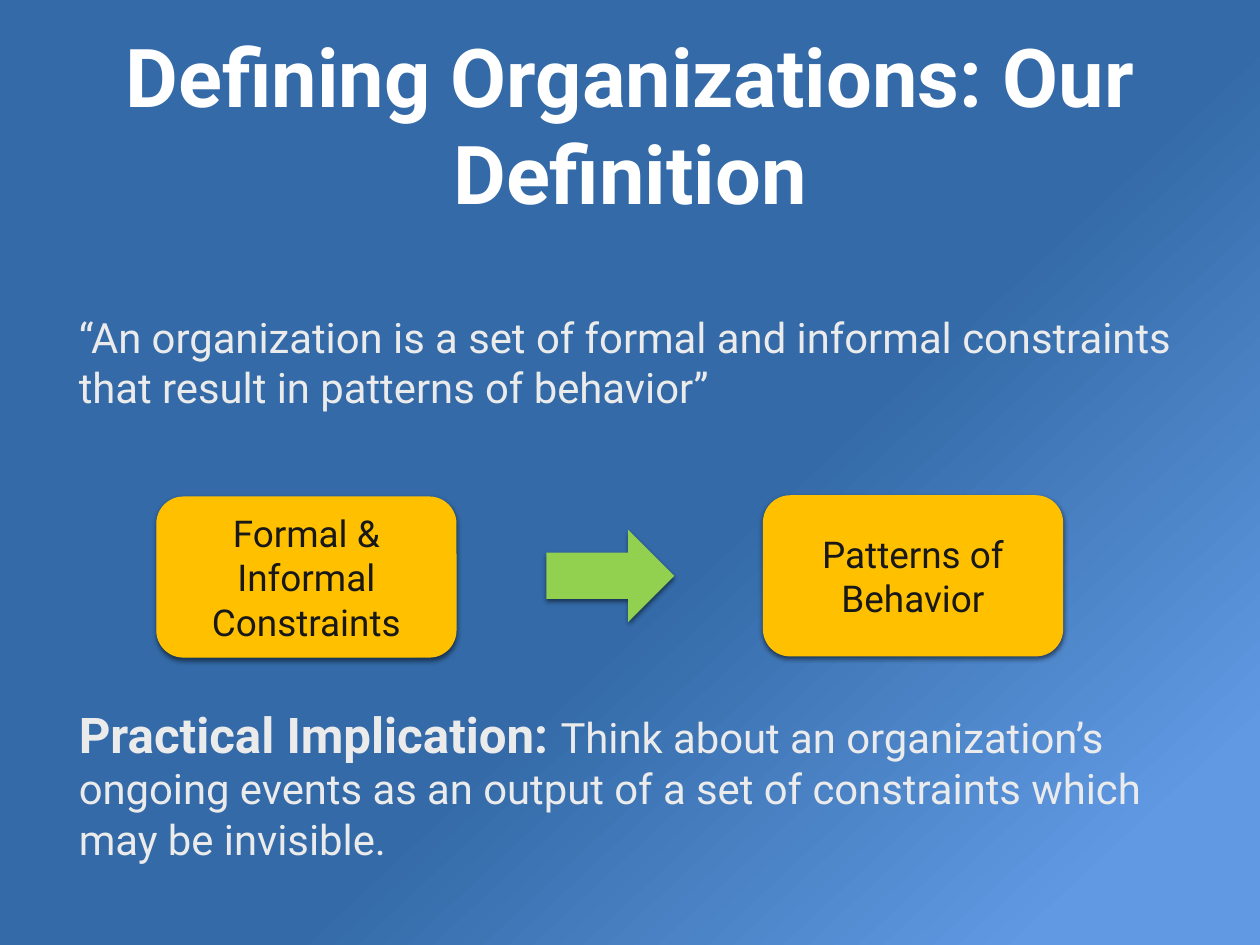
import pptx
import pptx.util
import pptx.dml.color
import pptx.enum.shapes
import pptx.enum.text
import pptx.oxml
import pptx.oxml.ns
from pptx.util import Pt

RGBColor = pptx.dml.color.RGBColor
MSO_SHAPE = pptx.enum.shapes.MSO_SHAPE
PP_ALIGN = pptx.enum.text.PP_ALIGN

DEEP_BLUE = RGBColor(0x33, 0x6A, 0xA7)
SKY_BLUE = RGBColor(0x61, 0x9A, 0xE3)
WHITE = RGBColor(0xFF, 0xFF, 0xFF)
PALE_GREY = RGBColor(0xEB, 0xEB, 0xEB)
AMBER = RGBColor(0xFF, 0xC0, 0x00)
GREEN = RGBColor(0x92, 0xD0, 0x50)
INK = RGBColor(0x18, 0x18, 0x18)

SHADOW = (
    f'<a:outerShdw {pptx.oxml.ns.nsdecls("a")} blurRad="{Pt(4)}" dist="{Pt(2)}"'
    ' dir="5400000" rotWithShape="0"><a:srgbClr val="000000">'
    '<a:alpha val="50000"/></a:srgbClr></a:outerShdw>'
)


def format_text(shape, size, color, align, bold=None):
    frame = shape.text_frame
    frame.word_wrap = True
    frame.auto_size = pptx.enum.text.MSO_AUTO_SIZE.NONE
    frame.vertical_anchor = pptx.enum.text.MSO_ANCHOR.MIDDLE
    frame.margin_left = frame.margin_right = Pt(4)
    frame.margin_top = frame.margin_bottom = Pt(4)
    paragraph = frame.paragraphs[0]
    paragraph.alignment = align
    paragraph.font.name = "Roboto"
    paragraph.font.size = Pt(size)
    paragraph.font.color.rgb = color
    paragraph.font.bold = bold
    return paragraph


def add_block(kind, left, top, width, height, color):
    block = slide.shapes.add_shape(kind, Pt(left), Pt(top), Pt(width), Pt(height))
    block.fill.solid()
    block.fill.fore_color.rgb = color
    block.line.fill.background()
    block.shadow.inherit = False
    effects = block.element.spPr.find(pptx.oxml.ns.qn("a:effectLst"))
    effects.append(pptx.oxml.parse_xml(SHADOW))
    return block


deck = pptx.Presentation()
deck.slide_width, deck.slide_height = Pt(1024), Pt(768)
slide = deck.slides.add_slide(deck.slide_layouts[1])

# Diagonal background gradient
backdrop = slide.background.fill
backdrop.gradient()
backdrop.gradient_angle = 313
for stop, position, color in zip(
    backdrop.gradient_stops, (0.57, 0.9), (DEEP_BLUE, SKY_BLUE)
):
    stop.position = position
    stop.color.rgb = color

# Title
title = slide.shapes.title
title.left, title.top, title.width, title.height = Pt(60), Pt(16), Pt(904), Pt(169)
title.text_frame.text = "Defining Organizations: Our Definition"
format_text(title, 66, WHITE, PP_ALIGN.CENTER, bold=True)

# Quoted definition, without a bullet
definition = slide.placeholders[1]
definition.left, definition.top = Pt(60), Pt(190)
definition.width, definition.height = Pt(904), Pt(208)
definition.text_frame.text = (
    "“An organization is a set of formal and informal constraints "
    "that result in patterns of behavior”"
)
quote = format_text(definition, 34, PALE_GREY, PP_ALIGN.LEFT)
quote.space_before = Pt(42)
quote_properties = quote._p.get_or_add_pPr()
quote_properties.set("marL", "0")
quote_properties.set("indent", "0")
no_bullet = pptx.oxml.parse_xml(f'<a:buNone {pptx.oxml.ns.nsdecls("a")}/>')
quote_properties.find(pptx.oxml.ns.qn("a:spcBef")).addnext(no_bullet)

# Practical implication
implication = slide.shapes.add_textbox(Pt(60), Pt(533), Pt(904), Pt(208))
advice = format_text(implication, 34, PALE_GREY, PP_ALIGN.LEFT)
advice.space_before = Pt(42)
lead = advice.add_run()
lead.text = "Practical Implication: "
lead.font.size = Pt(40)
lead.font.bold = True
advice.add_run().text = (
    "Think about an organization’s ongoing events as an output "
    "of a set of constraints which may be invisible."
)

# Cause and effect boxes
for label, left, top in (
    ("Formal & Informal Constraints", 127.5, 404),
    ("Patterns of Behavior", 620.5, 403),
):
    box = add_block(MSO_SHAPE.ROUNDED_RECTANGLE, left, top, 243, 130, AMBER)
    box.line.color.rgb = AMBER
    box.line.width = Pt(1)
    box.text_frame.text = label
    format_text(box, 30, INK, PP_ALIGN.CENTER)

# Arrow from constraints to behavior
add_block(MSO_SHAPE.RIGHT_ARROW, 444, 430.5, 104, 75, GREEN)

deck.save("out.pptx")
